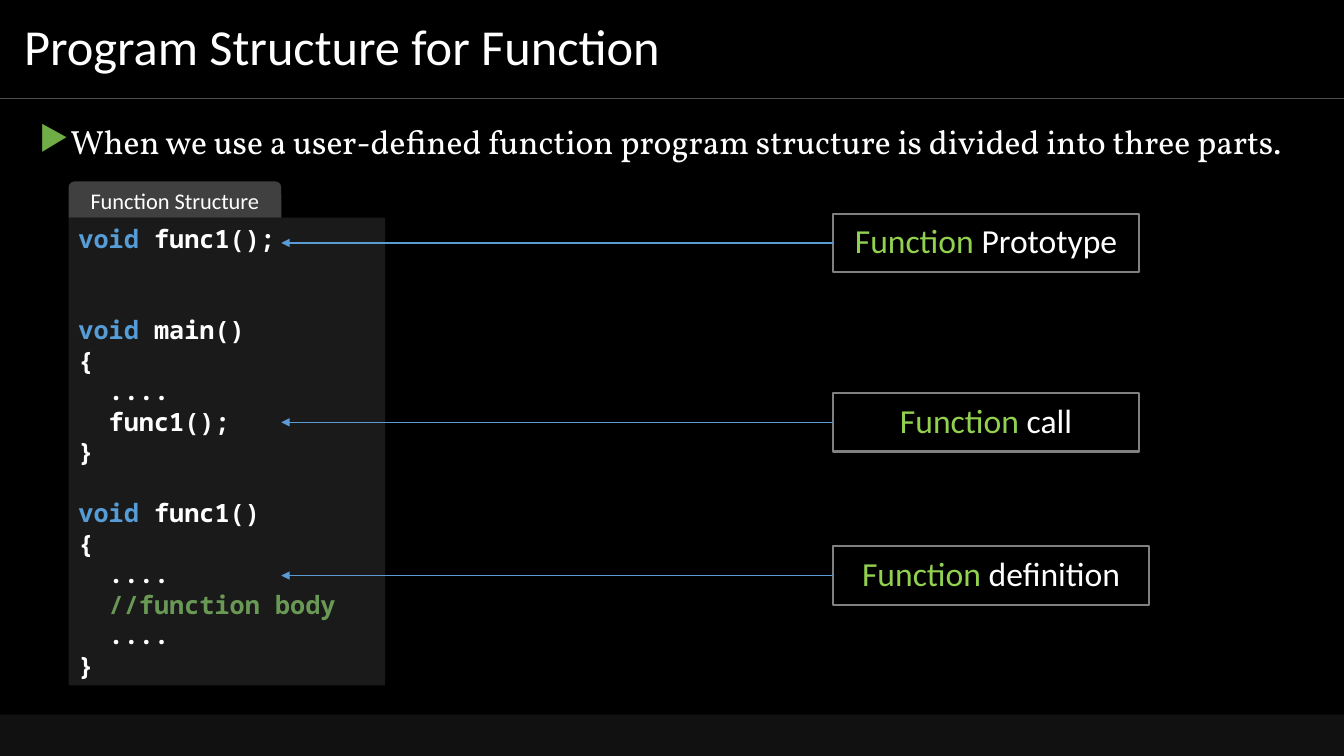
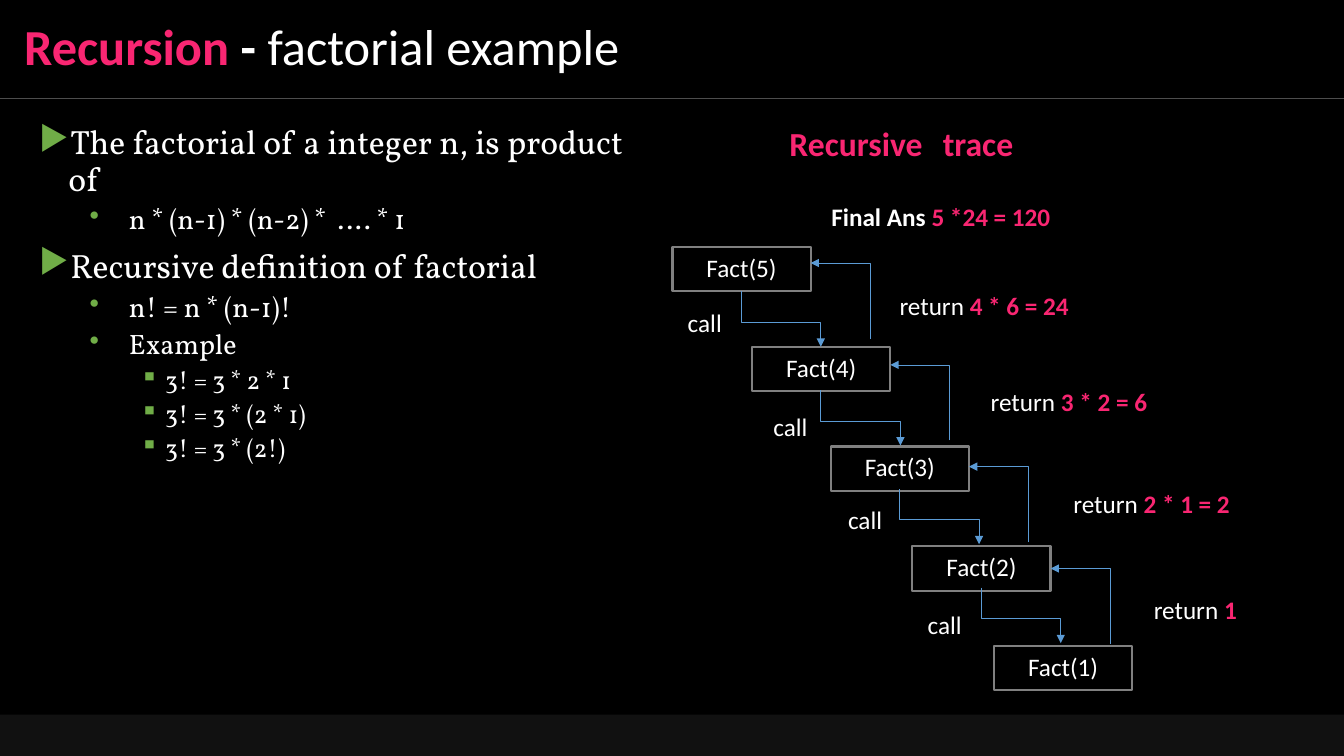
from lxml import etree
from pptx import Presentation
from pptx.dml.color import RGBColor
from pptx.enum.shapes import MSO_CONNECTOR as CONN, MSO_SHAPE as SHAPE
from pptx.enum.text import MSO_ANCHOR as ANCHOR, PP_ALIGN as ALIGN
from pptx.oxml.ns import qn
from pptx.util import Inches, Pt

BLACK = RGBColor(0x00, 0x00, 0x00)
WHITE = RGBColor(0xFF, 0xFF, 0xFF)
RULE = RGBColor(0x4D, 0x4D, 0x4D)
FOOTER = RGBColor(0x11, 0x11, 0x11)
PANEL = RGBColor(0x1A, 0x1A, 0x1A)
TAB = RGBColor(0x40, 0x40, 0x40)
BORDER = RGBColor(0x80, 0x80, 0x80)
ARROW = RGBColor(0x5B, 0x9B, 0xD5)
KEYWORD = RGBColor(0x56, 0x9C, 0xD6)
COMMENT = RGBColor(0x6A, 0x99, 0x55)
LIME = RGBColor(0x92, 0xD0, 0x50)
PINK = RGBColor(0xF9, 0x26, 0x72)

SANS, SERIF, MONO = "Calibri", "Vollkorn", "Noto Sans Mono"

# Per body level: bullet, left margin, hanging indent, text size, space before
LEVELS = [("▶", 0.29, -0.29, 24, 10),
          ("•", 0.89, -0.39, 20, 5),
          ("▪", 1.25, -0.25, 18, 5)]


def add_text(s, box, lines, size, font=SANS, align=ALIGN.CENTER, shape=None,
             fill=None, border=None, anchor=ANCHOR.TOP, inset=(0.1, 0.05), spacing=None):
    """Add a text box, or a preset shape; each line is a list of (text, colour, bold) runs."""
    at = [Inches(v) for v in box]
    if shape is None:
        sp = s.shapes.add_textbox(*at)
    else:
        sp = s.shapes.add_shape(shape, *at)
        sp.shadow.inherit = False
        sp.fill.solid()
        sp.fill.fore_color.rgb = fill
        if border is None:
            sp.line.fill.background()
        else:
            sp.line.color.rgb = border
            sp.line.width = Pt(1.5)
    tf = sp.text_frame
    tf.word_wrap = True
    tf.vertical_anchor = anchor
    tf.margin_left = tf.margin_right = Inches(inset[0])
    tf.margin_top = tf.margin_bottom = Inches(inset[1])
    for i, line in enumerate(lines):
        p = tf.add_paragraph() if i else tf.paragraphs[0]
        p.alignment = align
        if spacing:
            p.line_spacing = spacing
        for text, color, bold in line:
            r = p.add_run()
            r.text = text
            r.font.name = font
            r.font.size = Pt(size)
            r.font.bold = bold
            r.font.color.rgb = color
    return sp


def add_line(s, kind, start, end, color, width, arrow=True, bend=None):
    """Add a connector; a bend (share of the height) makes an elbow that leaves vertically."""
    (x1, y1), (x2, y2) = start, end
    if bend is not None:
        # The elbow is laid out sideways about its centre, then turned by 270 degrees.
        cx, cy, dx, dy = (x1 + x2) / 2, (y1 + y2) / 2, (x2 - x1) / 2, (y2 - y1) / 2
        x1, y1, x2, y2 = cx + dy, cy - dx, cx - dy, cy + dx
        if dy < 0:
            x1, y1, x2, y2 = cx + dy, cy - dx, cx - dy, cy + dx
    c = s.shapes.add_connector(kind, *[Inches(v) for v in (x1, y1, x2, y2)])
    c.line.color.rgb = color
    c.line.width = Pt(width)
    spPr = c._element.spPr
    if bend is not None:
        spPr.find(qn("a:xfrm")).set("rot", "16200000")
        guides = spPr.find(qn("a:prstGeom")).find(qn("a:avLst"))
        etree.SubElement(guides, qn("a:gd"), name="adj1", fmla=f"val {round(bend * 100000)}")
    if arrow:
        etree.SubElement(spPr.find(qn("a:ln")), qn("a:tailEnd"), type="triangle")
    etree.SubElement(spPr, qn("a:effectLst"))
    return c


prs = Presentation()
prs.slide_width, prs.slide_height = Inches(13.33), Inches(7.5)

pages = [
    ([("Program Structure for Function", WHITE, False)], (12.76, 0.65), [
        (0, "When we use a user-defined function program structure is divided into three parts."),
    ]),
    ([("Recursion ", PINK, True), ("- ", WHITE, True), ("factorial example", WHITE, False)],
     (5.99, 3.11), [
        (0, "The factorial of a integer n, is product of"),
        (1, "n * (n-1) * (n-2) *  …. * 1"),
        (0, "Recursive definition of factorial"),
        (1, "n! = n * (n-1)!"),
        (1, "Example"),
        (2, "3! = 3 * 2 * 1"),
        (2, "3! = 3 * (2 * 1)"),
        (2, "3! = 3 * (2!)"),
    ]),
]

# Frame, title and bulleted body of every slide
for title, body_size, body in pages:
    s = prs.slides.add_slide(prs.slide_layouts[6])
    s.background.fill.solid()
    s.background.fill.fore_color.rgb = BLACK
    add_line(s, CONN.STRAIGHT, (0, 0.98), (13.33, 0.98), RULE, 0.5, arrow=False)
    add_text(s, (0, 7.09, 13.33, 0.41), [], 18, shape=SHAPE.RECTANGLE, fill=FOOTER)
    add_text(s, (0, 0, 13.33, 0.98), [title], 36, align=ALIGN.LEFT,
             anchor=ANCHOR.MIDDLE, inset=(0.24, 0.12), spacing=0.9)
    sp = add_text(s, (0.29, 1.2, *body_size), [[(text, WHITE, False)] for _, text in body],
                  24, SERIF, ALIGN.JUSTIFY, spacing=0.9)
    for p, (level, _) in zip(sp.text_frame.paragraphs, body):
        bullet, margin, indent, size, before = LEVELS[level]
        p.level = level
        p.space_before = Pt(before)
        p.runs[0].font.size = Pt(size)
        pPr = p._p.get_or_add_pPr()
        pPr.set("marL", str(Inches(margin)))
        pPr.set("indent", str(Inches(indent)))
        bullet_color = etree.SubElement(pPr, qn("a:buClr"))
        etree.SubElement(bullet_color, qn("a:srgbClr"), val="70AD47")
        etree.SubElement(pPr, qn("a:buChar"), char=bullet)

# Slide 1: code panel with its three labelled parts
s = prs.slides[0]
LINE_HEIGHT = 21.8
code = [  # blank lines before, runs
    (0, [("void", KEYWORD, True), (" func1();", WHITE, True)]),
    (2, [("void", KEYWORD, True), (" main()", WHITE, True)]),
    (0, [("{", WHITE, True)]),
    (0, [("  ....", WHITE, True)]),
    (0, [("  func1();", WHITE, True)]),
    (0, [("}", WHITE, True)]),
    (1, [("void", KEYWORD, True), (" func1()", WHITE, True)]),
    (0, [("{", WHITE, True)]),
    (0, [("  ....", WHITE, True)]),
    (0, [("  //function body", COMMENT, True)]),
    (0, [("  ....", WHITE, True)]),
    (0, [("}", WHITE, True)]),
]
sp = add_text(s, (0.68, 2.16, 3.14, 4.64), [runs for _, runs in code], 18, MONO, ALIGN.LEFT,
              SHAPE.RECTANGLE, PANEL, spacing=Pt(LINE_HEIGHT))
for p, (gap, _) in zip(sp.text_frame.paragraphs, code):
    p.space_before = Pt(gap * LINE_HEIGHT)
add_text(s, (0.68, 1.8, 2.11, 0.36), [[("Function Structure", WHITE, False)]], 16,
         shape=SHAPE.ROUND_2_SAME_RECTANGLE, fill=TAB, anchor=ANCHOR.MIDDLE, inset=(0.1, 0))

for part, top, width in [("Prototype", 2.12, 3.04), ("call", 3.9, 3.04),
                         ("definition", 5.42, 3.14)]:
    box = add_text(s, (8.26, top, width, 0.58),
                   [[("Function ", LIME, False), (part, WHITE, False)]], 24,
                   shape=SHAPE.RECTANGLE, fill=BLACK, border=BORDER,
                   anchor=ANCHOR.MIDDLE, inset=(0.02, 0.02), spacing=0.9)
    y = top + 0.29
    c = add_line(s, CONN.STRAIGHT, (8.26, y), (2.79, y), ARROW, 1)
    c.begin_connect(box, 1)

# Slide 2: staircase of recursive calls and their results
s = prs.slides[1]
BOX_W, BOX_H, STEP = 1.37, 0.44, 0.99
box_lefts = [6.67, 7.46, 8.24, 9.05, 9.86]
for i, left in enumerate(box_lefts):
    add_text(s, (left, 2.45 + i * STEP, BOX_W, BOX_H), [[(f"Fact({5 - i})", WHITE, False)]], 18,
             shape=SHAPE.RECTANGLE, fill=BLACK, border=BORDER,
             anchor=ANCHOR.MIDDLE, inset=(0.02, 0.02), spacing=0.9)

steps = [  # call label, return label (left, top, width), result
    ((6.67, 3), (8.76, 2.83, 2.06), "4 * 6 = 24 "),
    ((7.52, 4.03), (9.6, 3.78, 2.06), "3 * 2 = 6 "),
    ((8.26, 4.95), (10.42, 4.8, 2.06), "2 * 1 = 2 "),
    ((9.05, 6), (11.23, 5.85, 1.25), "1"),
]
for i, (call_at, return_at, result) in enumerate(steps):
    x, y = box_lefts[i] + 0.68, 2.89 + i * 0.98
    add_line(s, CONN.ELBOW, (x, y), (x + 0.79, y + 0.55), ARROW, 0.5, bend=0.556)
    x, y = box_lefts[i] + BOX_W, 2.61 + i * 1.01
    add_line(s, CONN.ELBOW, (x + 0.59, y + 0.75), (x, y), ARROW, 0.5, bend=1)
    add_text(s, (*call_at, 0.64, 0.4), [[("call", WHITE, False)]], 18)
    add_text(s, (*return_at, 0.4), [[("return ", WHITE, False), (result, PINK, True)]], 18)

add_text(s, (7.89, 1.95, 2.94, 0.4),
         [[("Final Ans ", WHITE, True), ("5 *24 = 120 ", PINK, True)]], 18)
heading = add_text(s, (7.22, 1.17, 3.44, 0.5),
                   [[("Recursive", PINK, True), (" ", PINK, True), ("trace", PINK, True)]], 24)
word_gap = heading.text_frame.paragraphs[0].runs[1]
word_gap._r.get_or_add_rPr().set("spc", "900")

prs.save("out.pptx")
